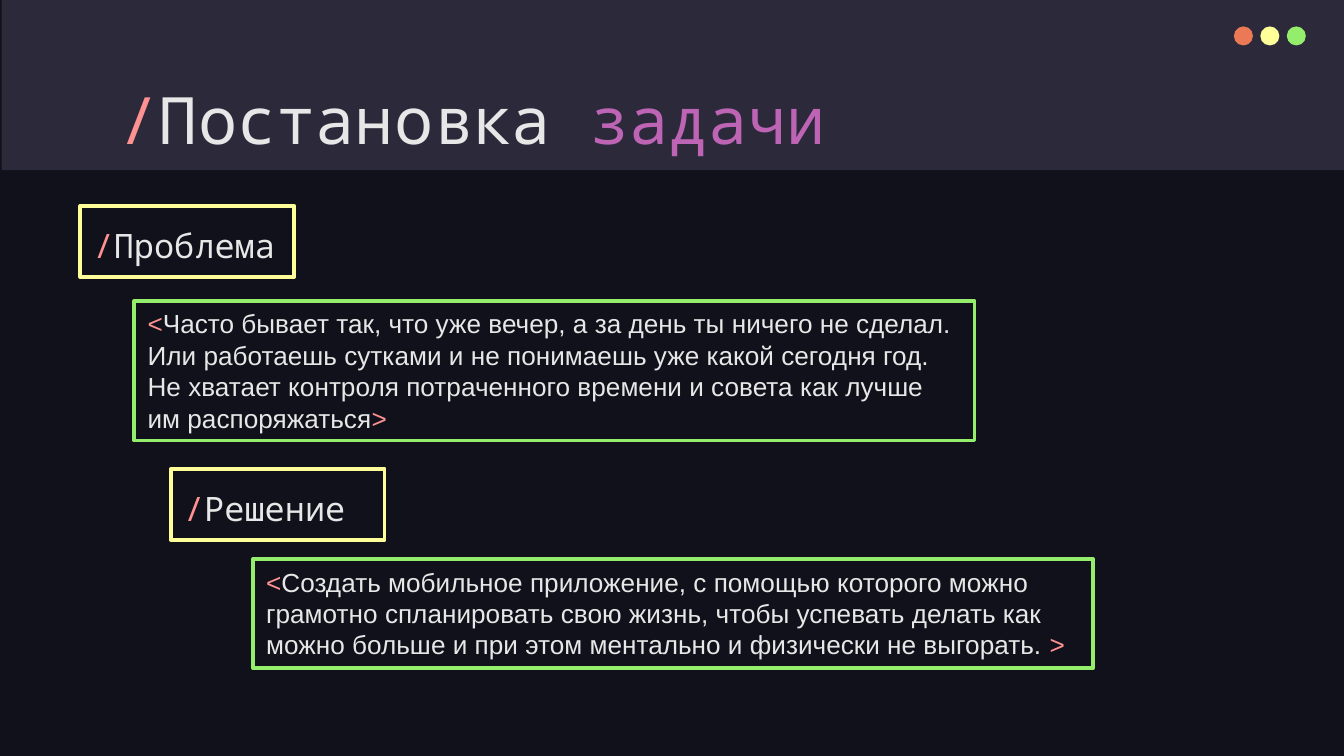
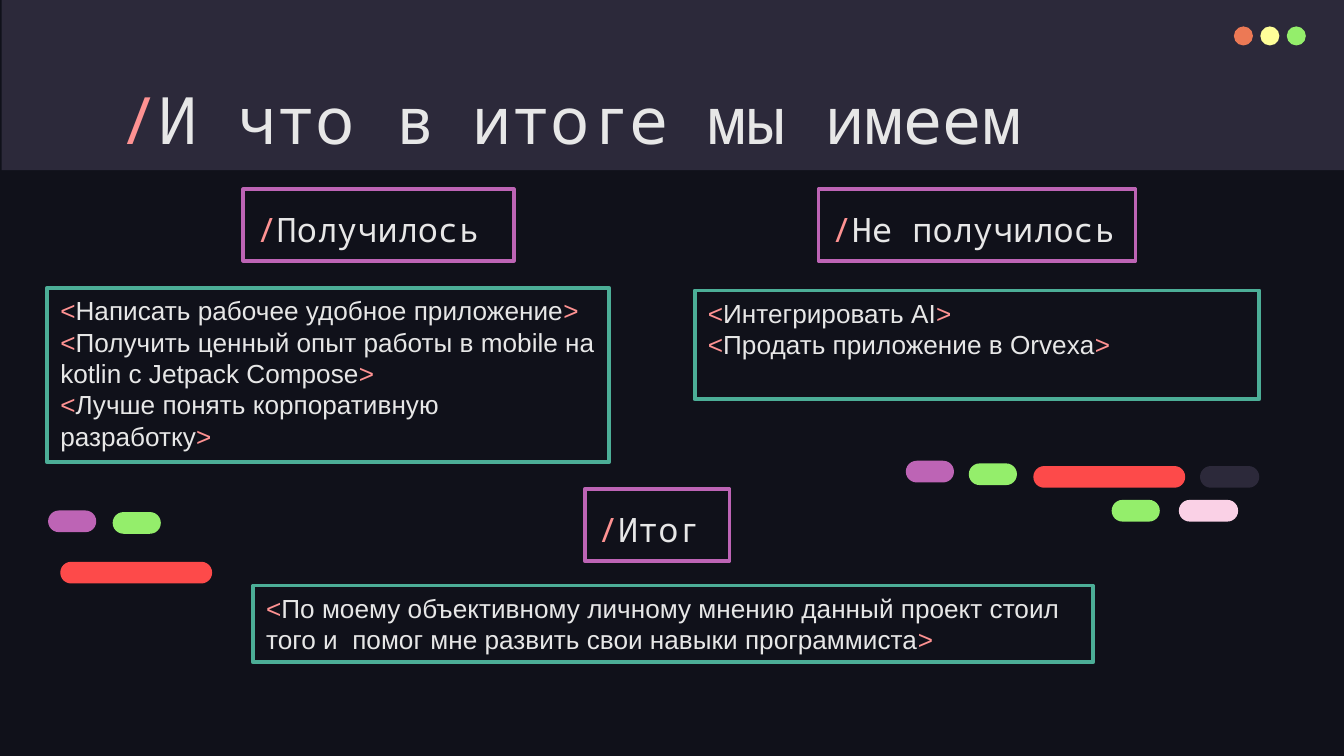
from pptx import Presentation
from pptx.dml.color import RGBColor
from pptx.enum.shapes import MSO_SHAPE as SHAPE
from pptx.enum.text import MSO_ANCHOR as ANCHOR, PP_ALIGN as ALIGN
from pptx.util import Cm, Pt

DARK = RGBColor(0x10, 0x11, 0x1A)
BAND = RGBColor(0x2C, 0x29, 0x3A)
WHITE = RGBColor(0xE7, 0xE7, 0xE7)
CORAL = RGBColor(0xFE, 0x92, 0x92)
ORANGE = RGBColor(0xEC, 0x79, 0x55)
YELLOW = RGBColor(0xFF, 0xFF, 0x99)
GREEN = RGBColor(0x94, 0xEE, 0x6B)
PURPLE = RGBColor(0xBD, 0x64, 0xB5)
TEAL = RGBColor(0x4C, 0xAE, 0x97)
RED = RGBColor(0xFD, 0x4A, 0x4A)
PINK = RGBColor(0xFA, 0xD1, 0xE6)

MONO, SANS = "Noto Sans Mono", "Arial"


def add_shape(s, kind, x, y, w, h, fill, line=None):
    sp = s.shapes.add_shape(kind, Cm(x), Cm(y), Cm(w), Cm(h))
    sp.shadow.inherit = False
    sp.fill.solid()
    sp.fill.fore_color.rgb = fill
    if line is None:
        sp.line.fill.background()
    else:
        sp.line.color.rgb = line
        sp.line.width = Pt(2)
    return sp


def write(sp, paragraphs, font, size, inset, spacing=1.0):
    """Fill a shape with paragraphs, each a list of (text, colour) runs."""
    tf = sp.text_frame
    tf.word_wrap = True
    tf.vertical_anchor = ANCHOR.TOP
    tf.margin_left = tf.margin_right = Cm(0.25)
    tf.margin_top = tf.margin_bottom = Cm(inset)
    for i, runs in enumerate(paragraphs):
        p = tf.paragraphs[0] if i == 0 else tf.add_paragraph()
        p.alignment = ALIGN.LEFT
        p.line_spacing = spacing
        for text, color in runs:
            r = p.add_run()
            r.text = text
            r.font.name = font
            r.font.size = Pt(size)
            r.font.color.rgb = color


# Content: headings are (x, y, width, text), notes are (x, y, width, height, lines)
slides = [
    {
        "title": [("Постановка ", WHITE), ("задачи", PURPLE)],
        "heading_line": YELLOW,
        "note_line": GREEN,
        "headings": [
            (1.52, 3.89, 4.04, "Проблема"),
            (3.23, 8.86, 4.04, "Решение"),
        ],
        "notes": [
            (2.54, 5.69, 15.88, 2.64, [
                "Часто бывает так, что уже вечер, а за день ты ничего не сделал. "
                "Или работаешь сутками и не понимаешь уже какой сегодня год. "
                "Не хватает контроля потраченного времени и совета как лучше "
                "им распоряжаться"]),
            (4.78, 10.57, 15.88, 2.06, [
                "Создать мобильное приложение, с помощью которого можно "
                "грамотно спланировать свою жизнь, чтобы успевать делать как "
                "можно больше и при этом ментально и физически не выгорать. "]),
        ],
        "pills": [],
    },
    {
        "title": [("И что в итоге мы имеем", WHITE)],
        "heading_line": PURPLE,
        "note_line": TEAL,
        "headings": [
            (4.6, 3.58, 5.11, "Получилось"),
            (15.47, 3.58, 5.99, "Не получилось"),
            (11.05, 9.25, 2.74, "Итог"),
        ],
        "notes": [
            (0.89, 5.44, 10.62, 3.3, [
                "Написать рабочее удобное приложение",
                "Получить ценный опыт работы в mobile на kotlin с Jetpack Compose",
                "Лучше понять корпоративную разработку"]),
            (13.13, 5.49, 10.67, 2.06, [
                "Интегрировать AI",
                "Продать приложение в Orvexa"]),
            (4.78, 11.07, 15.88, 1.45, [
                "По моему объективному личному мнению данный проект стоил "
                "того и  помог мне развить свои навыки программиста"]),
        ],
        "pills": [
            (0.91, 9.65, 0.91, PURPLE),
            (2.13, 9.68, 0.91, GREEN),
            (1.14, 10.62, 2.87, RED),
            (17.12, 8.71, 0.91, PURPLE),
            (18.31, 8.76, 0.91, GREEN),
            (19.53, 8.81, 2.87, RED),
            (22.68, 8.81, 1.12, BAND),
            (21.01, 9.45, 0.91, GREEN),
            (22.28, 9.45, 1.12, PINK),
        ],
    },
]

prs = Presentation()
prs.slide_width, prs.slide_height = Cm(25.4), Cm(14.29)

for content in slides:
    s = prs.slides.add_slide(prs.slide_layouts[6])
    s.background.fill.solid()
    s.background.fill.fore_color.rgb = DARK

    # Top band with window buttons
    add_shape(s, SHAPE.RECTANGLE, 0.03, 0, 25.37, 3.22, BAND)
    for i, color in enumerate([ORANGE, YELLOW, GREEN]):
        add_shape(s, SHAPE.OVAL, 23.32 + 0.5 * i, 0.5, 0.36, 0.36, color)

    # Title
    title = s.shapes.add_textbox(Cm(2.01), Cm(1.24), Cm(21.41), Cm(1.6))
    write(title, [[("/", CORAL)] + content["title"]], MONO, 35, 0.25)

    # Framed headings
    for x, y, w, text in content["headings"]:
        sp = add_shape(s, SHAPE.RECTANGLE, x, y, w, 1.35, DARK, content["heading_line"])
        write(sp, [[("/", CORAL), (text, WHITE)]], MONO, 18, 0.25, 1.15)

    # Framed notes, each line in angle brackets
    for x, y, w, h, lines in content["notes"]:
        sp = add_shape(s, SHAPE.RECTANGLE, x, y, w, h, DARK, content["note_line"])
        bracketed = [[("<", CORAL), (text, WHITE), (">", CORAL)] for text in lines]
        write(sp, bracketed, SANS, 14, 0.13)

    # Decorative pills
    for x, y, w, color in content["pills"]:
        pill = add_shape(s, SHAPE.ROUNDED_RECTANGLE, x, y, w, 0.41, color)
        pill.adjustments[0] = 0.5

prs.save("out.pptx")
